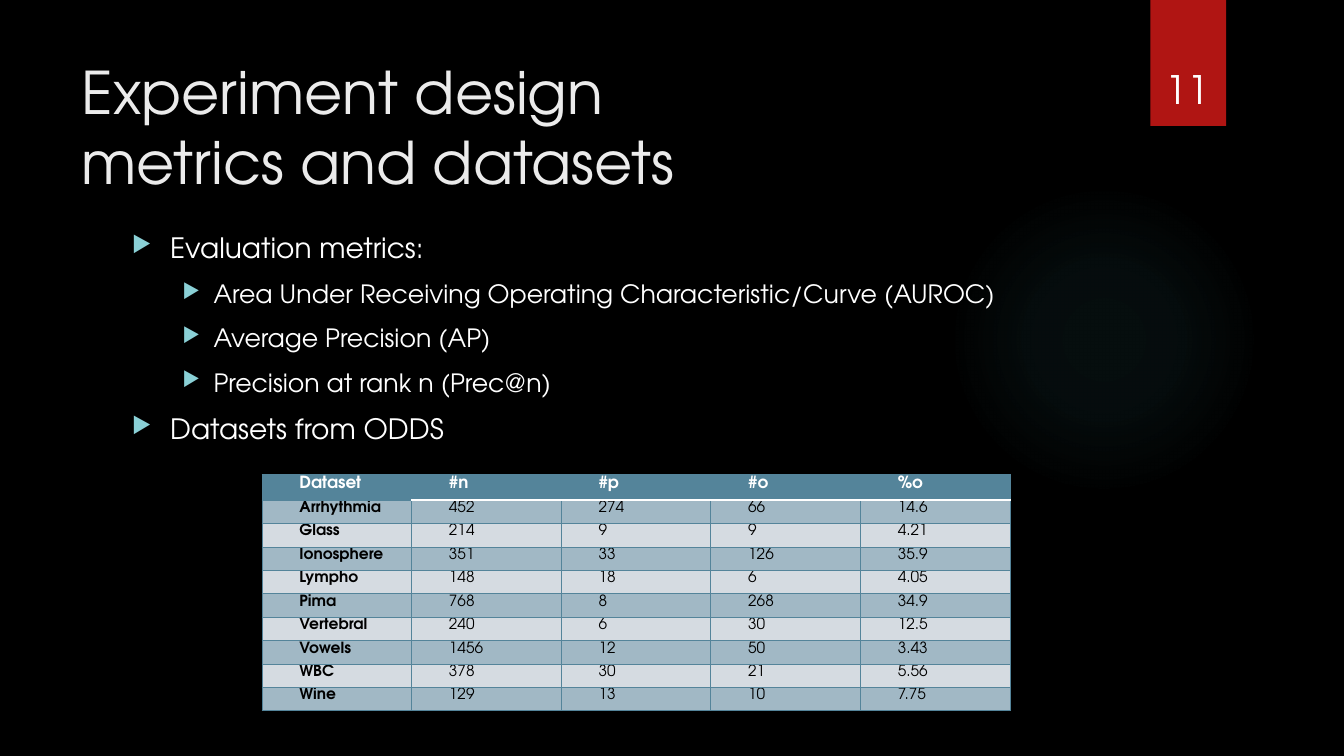
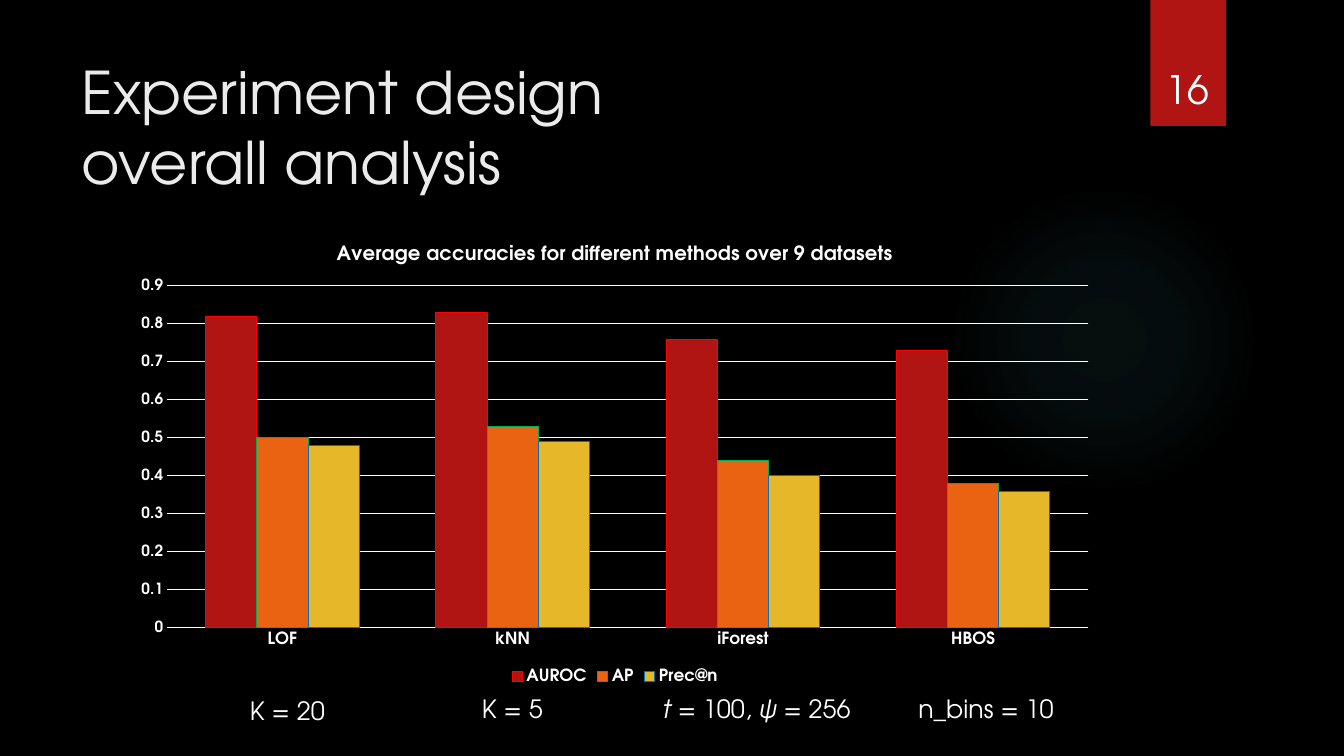
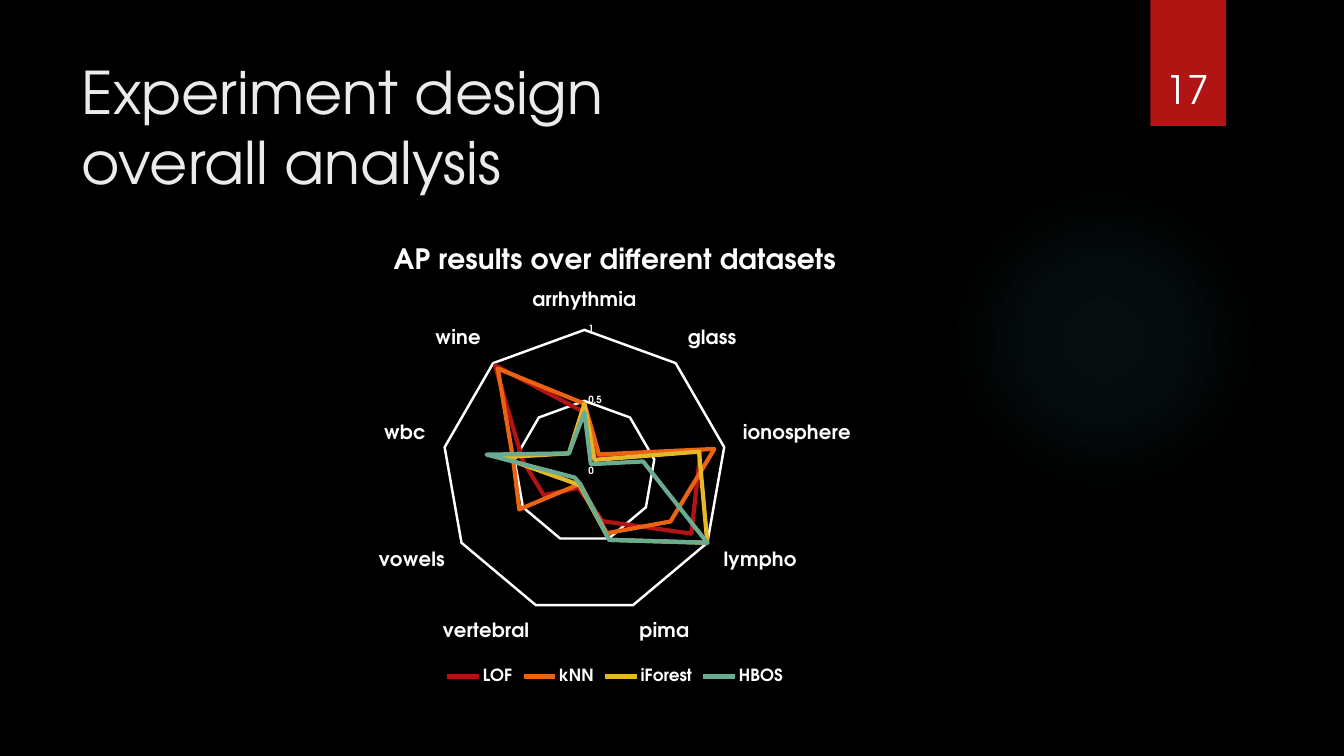
from dataclasses import dataclass

from lxml.etree import SubElement
from pptx import Presentation
from pptx.chart.data import CategoryChartData
from pptx.dml.color import RGBColor
from pptx.enum.chart import XL_CHART_TYPE, XL_LEGEND_POSITION, XL_TICK_MARK
from pptx.enum.shapes import MSO_SHAPE
from pptx.enum.text import MSO_ANCHOR, MSO_AUTO_SIZE, PP_ALIGN
from pptx.oxml import parse_xml
from pptx.oxml.ns import nsdecls, qn
from pptx.util import Inches, Pt


@dataclass(frozen=True)
class Theme:
    font: str = "TeX Gyre Adventor"
    # Colours
    back: str = "000000"
    text: str = "FFFFFF"
    title: str = "EBEBEB"
    glow: str = "50B9C1"
    bullet: str = "8AD0D6"
    red: str = "B01513"
    orange: str = "EA6312"
    yellow: str = "E6B729"
    green: str = "6AAC90"
    head: str = "54849A"
    bands: tuple = ("A1B8C5", "D5DBE1")
    # Type sizes in points
    title_size: int = 42
    number_size: int = 28
    body_sizes: tuple = (20, 18)
    label_size: int = 18
    head_size: int = 12
    cell_size: int = 11
    legend_size: int = 12


THEME = Theme()


def rgb(color):
    return RGBColor.from_string(color)


def style_font(font, size, color=THEME.text, bold=False, italic=False):
    font.name, font.size, font.bold, font.italic = THEME.font, Pt(size), bold, italic
    font.color.rgb = rgb(color)


def write(p, text, **fmt):
    """Add text to a paragraph: a newline breaks the line, *stars* set italics."""
    for n, line in enumerate(text.split("\n")):
        if n:
            p.add_line_break()
        for k, part in enumerate(line.split("*")):
            if part:
                r = p.add_run()
                r.text = part
                style_font(r.font, italic=k % 2 == 1, **fmt)


def indent(p, left, first):
    pPr = p._p.get_or_add_pPr()
    pPr.set("marL", str(Inches(left)))
    pPr.set("indent", str(Inches(first)))
    return pPr


def border(tcPr, position, side, color, width):
    tcPr.insert(position, parse_xml(
        f'<a:{side} {nsdecls("a")} w="{Pt(width)}"><a:solidFill>'
        f'<a:srgbClr val="{color}"/></a:solidFill></a:{side}>'))


def show_line(line, color=None, width=0.75):
    if color is None:
        line.fill.background()
    else:
        line.color.rgb = rgb(color)
        line.width = Pt(width)


class Deck:
    """Places elements on the current slide; boxes are percentages of its size."""

    CONTENT = (9.08, 29.87, 73.37, 61.2)

    def __init__(self, theme):
        self.theme = theme
        self.prs = Presentation()
        self.prs.slide_width, self.prs.slide_height = Inches(13.33), Inches(7.5)
        fill = self.prs.slide_master.background.fill
        fill.solid()
        fill.fore_color.rgb = rgb(theme.back)

    def across(self, share):
        return int(self.prs.slide_width * share / 100)

    def down(self, share):
        return int(self.prs.slide_height * share / 100)

    def box(self, x, y, w, h):
        return self.across(x), self.down(y), self.across(w), self.down(h)

    def new_slide(self, title, number):
        t = self.theme
        self.slide = self.prs.slides.add_slide(self.prs.slide_layouts[5])
        self.glow(70.59, 24.4, 23.11, 41.07)
        self.shape(MSO_SHAPE.RECTANGLE, (85.6, 0, 5.63, 16.67), t.red)
        # Title placeholder
        sp = self.slide.shapes.title
        sp.left, sp.top, sp.width, sp.height = self.box(5.33, 6.67, 77.19, 20.4)
        tf = sp.text_frame
        tf.auto_size, tf.vertical_anchor = MSO_AUTO_SIZE.NONE, MSO_ANCHOR.TOP
        p = tf.paragraphs[0]
        p.alignment = PP_ALIGN.LEFT
        write(p, title, size=t.title_size, color=t.title)
        # Slide number
        tf = self.text_box(84.92, 4.27, 6.9, 11.2)
        tf.vertical_anchor = MSO_ANCHOR.BOTTOM
        p = tf.paragraphs[0]
        p.alignment = PP_ALIGN.CENTER
        write(p, str(number), size=t.number_size)

    def shape(self, kind, box, color):
        sp = self.slide.shapes.add_shape(kind, *self.box(*box))
        sp.shadow.inherit = False
        sp.fill.solid()
        sp.fill.fore_color.rgb = rgb(color)
        sp.line.fill.background()
        return sp

    def glow(self, *box):
        """A circle that fades out from its centre."""
        color = self.theme.glow
        sp = self.shape(MSO_SHAPE.OVAL, box, color)
        stops = "".join(
            f'<a:gs pos="{pos * 1000}"><a:srgbClr val="{color}">'
            f'<a:alpha val="{alpha * 1000}"/></a:srgbClr></a:gs>'
            for pos, alpha in ((0, 7), (36, 6), (69, 0), (100, 0)))
        spPr = sp._element.spPr
        spPr.replace(spPr.find(qn("a:solidFill")), parse_xml(
            f'<a:gradFill {nsdecls("a")}><a:gsLst>{stops}</a:gsLst><a:path path="circle">'
            '<a:fillToRect l="50000" t="50000" r="50000" b="50000"/></a:path></a:gradFill>'))

    def text_box(self, *box):
        tf = self.slide.shapes.add_textbox(*self.box(*box)).text_frame
        tf.word_wrap = True
        return tf

    def label(self, text, x, y):
        p = self.text_box(x, y, 17.85, 5.33).paragraphs[0]
        write(p, text, size=self.theme.label_size)

    def bullets(self, items):
        tf = self.text_box(*self.CONTENT)
        for n, (level, text) in enumerate(items):
            p = tf.add_paragraph() if n else tf.paragraphs[0]
            p.level, p.space_before = level, Pt(10)
            pPr = indent(p, *((0.38, -0.38), (0.81, -0.31))[level])
            color = SubElement(pPr, qn("a:buClr"))
            SubElement(color, qn("a:srgbClr"), val=self.theme.bullet)
            SubElement(pPr, qn("a:buSzPct"), val="80000")
            SubElement(pPr, qn("a:buChar"), char="▶")
            write(p, text, size=self.theme.body_sizes[level])

    def table(self, rows, box, head_height, row_height):
        t = self.theme
        frame = self.slide.shapes.add_table(len(rows), len(rows[0]), *self.box(*box))
        table = frame.table
        table.first_row = table.horz_banding = False
        for i, row in enumerate(rows):
            table.rows[i].height = self.down(row_height if i else head_height)
            for j, text in enumerate(row):
                self.cell(table.cell(i, j), text, i, j)

    def cell(self, cell, text, i, j):
        t = self.theme
        cell.margin_left = cell.margin_right = Inches(0.07)
        cell.margin_top = cell.margin_bottom = 0
        cell.fill.solid()
        cell.fill.fore_color.rgb = rgb(t.bands[(i - 1) % 2] if i else t.head)
        p = cell.text_frame.paragraphs[0]
        p.alignment, p.line_spacing = PP_ALIGN.JUSTIFY, 1.07
        indent(p, 0, 0.3)
        write(p, text, size=t.cell_size if i else t.head_size,
              color=t.back if i else t.text, bold=i == 0 or j == 0)
        # A white rule runs under the header, except in the first column
        ruled = {0: "lnB", 1: "lnT"}.get(i) if j else None
        for k, side in enumerate(("lnL", "lnR", "lnT", "lnB")):
            line = (t.text, 1.5) if side == ruled else (t.head, 0.75)
            border(cell._tc.get_or_add_tcPr(), k, side, *line)

    def chart(self, kind, title, title_size, cats, series, plot_area):
        t = self.theme
        data = CategoryChartData()
        data.categories = cats
        for name, values, *_ in series:
            data.add_series(name, values)
        chart = self.slide.shapes.add_chart(kind, *self.box(*self.CONTENT), data).chart
        style_font(chart.font, 10)
        chart.has_title = True
        write(chart.chart_title.text_frame.paragraphs[0], title, size=title_size, bold=True)
        chart.has_legend = True
        chart.legend.position = XL_LEGEND_POSITION.BOTTOM
        chart.legend.include_in_layout = False
        style_font(chart.legend.font, t.legend_size, bold=True)
        chart.plots[0].vary_by_categories = False
        self.place_plot(chart, plot_area)
        return chart

    def place_plot(self, chart, area):
        """Fix the inner plot area, in percentages of the chart."""
        plot = chart._chartSpace.chart.plotArea
        for old in plot.findall(qn("c:layout")):
            plot.remove(old)
        parts = "".join(f'<c:{k} val="{v / 100}"/>' for k, v in zip("xywh", area))
        plot.insert(0, parse_xml(
            f'<c:layout {nsdecls("c")}><c:manualLayout><c:layoutTarget val="inner"/>'
            f'<c:xMode val="edge"/><c:yMode val="edge"/>{parts}'
            '</c:manualLayout></c:layout>'))

    def axis(self, axis, size, line=None, grid=None):
        axis.major_tick_mark = axis.minor_tick_mark = XL_TICK_MARK.NONE
        style_font(axis.tick_labels.font, size, bold=True)
        show_line(axis.format.line, line)
        axis.has_major_gridlines = grid is not None
        if grid:
            show_line(axis.major_gridlines.format.line, self.theme.text, grid)

    def scale(self, axis, top, step):
        axis.minimum_scale, axis.maximum_scale, axis.major_unit = 0, top, step
        axis.tick_labels.number_format = "General"
        axis.tick_labels.number_format_is_linked = False

    def columns(self, title, cats, series):
        chart = self.chart(XL_CHART_TYPE.COLUMN_CLUSTERED, title, 14, cats, series,
                           (4.6, 13, 93.4, 73.9))
        chart.plots[0].gap_width, chart.plots[0].overlap = 150, 0
        self.axis(chart.category_axis, 12, line=self.theme.text)
        self.axis(chart.value_axis, 11, grid=0.75)
        self.scale(chart.value_axis, 0.9, 0.1)
        for s, (_, _, color, edge) in zip(chart.series, series):
            s.format.fill.solid()
            s.format.fill.fore_color.rgb = rgb(color)
            show_line(s.format.line, edge)

    def radar(self, title, cats, series):
        chart = self.chart(XL_CHART_TYPE.RADAR, title, 20, cats, series,
                           (32.5, 22.5, 28.8, 61.4))
        self.axis(chart.category_axis, 14)
        self.axis(chart.value_axis, 7, grid=1.75)
        self.scale(chart.value_axis, 1, 0.5)
        for s, (_, _, color) in zip(chart.series, series):
            s.smooth = False
            show_line(s.format.line, color, 3)


def main():
    t = THEME
    deck = Deck(t)

    # Metrics and datasets
    deck.new_slide("Experiment design\nmetrics and datasets", 11)
    deck.bullets([
        (0, "Evaluation metrics:"),
        (1, "Area Under Receiving Operating Characteristic/Curve (AUROC)"),
        (1, "Average Precision (AP)"),
        (1, "Precision at rank n (Prec@n)"),
        (0, "Datasets from ODDS"),
    ])
    datasets = [
        ("Dataset", "#n", "#p", "#o", "%o"),
        ("Arrhythmia", "452", "274", "66", "14.6"),
        ("Glass", "214", "9", "9", "4.21"),
        ("Ionosphere", "351", "33", "126", "35.9"),
        ("Lympho", "148", "18", "6", "4.05"),
        ("Pima", "768", "8", "268", "34.9"),
        ("Vertebral", "240", "6", "30", "12.5"),
        ("Vowels", "1456", "12", "50", "3.43"),
        ("WBC", "378", "30", "21", "5.56"),
        ("Wine", "129", "13", "10", "7.75"),
    ]
    deck.table(datasets, (19.5, 62.8, 55.66, 31.2), head_height=3.36, row_height=3.1)

    # Average accuracy by method
    deck.new_slide("Experiment design\noverall analysis", 16)
    deck.columns(
        "Average accuracies for different methods over 9 datasets",
        ("LOF", "kNN", "iForest", "HBOS"),
        [("AUROC", (0.82, 0.83, 0.76, 0.73), t.red, "FF0000"),
         ("AP", (0.5, 0.53, 0.44, 0.38), t.orange, "00B050"),
         ("Prec@n", (0.48, 0.49, 0.4, 0.36), t.yellow, "0070C0")])
    for text, x, y in (("K = 20", 17.85, 91.33), ("K = 5", 35.11, 91.07),
                       ("*t *= 100, *ψ *= 256", 48.54, 91.07),
                       ("n_bins = 10", 67.59, 91.07)):
        deck.label(text, x, y)

    # Average precision by dataset
    deck.new_slide("Experiment design\noverall analysis", 17)
    deck.radar(
        "AP results over different datasets",
        ("arrhythmia", "glass", "ionosphere", "lympho", "pima",
         "vertebral", "vowels", "wbc", "wine"),
        [("LOF", (0.42, 0.15, 0.83, 0.87, 0.37, 0.12, 0.33, 0.44, 0.98), t.red),
         ("kNN", (0.48, 0.16, 0.93, 0.7, 0.46, 0.09, 0.53, 0.51, 0.95), t.orange),
         ("iForest", (0.48, 0.11, 0.82, 1, 0.51, 0.1, 0.13, 0.59, 0.17), t.yellow),
         ("HBOS", (0.42, 0.07, 0.42, 1, 0.51, 0.09, 0.08, 0.7, 0.17), t.green)])

    deck.prs.save("out.pptx")


if __name__ == "__main__":
    main()
